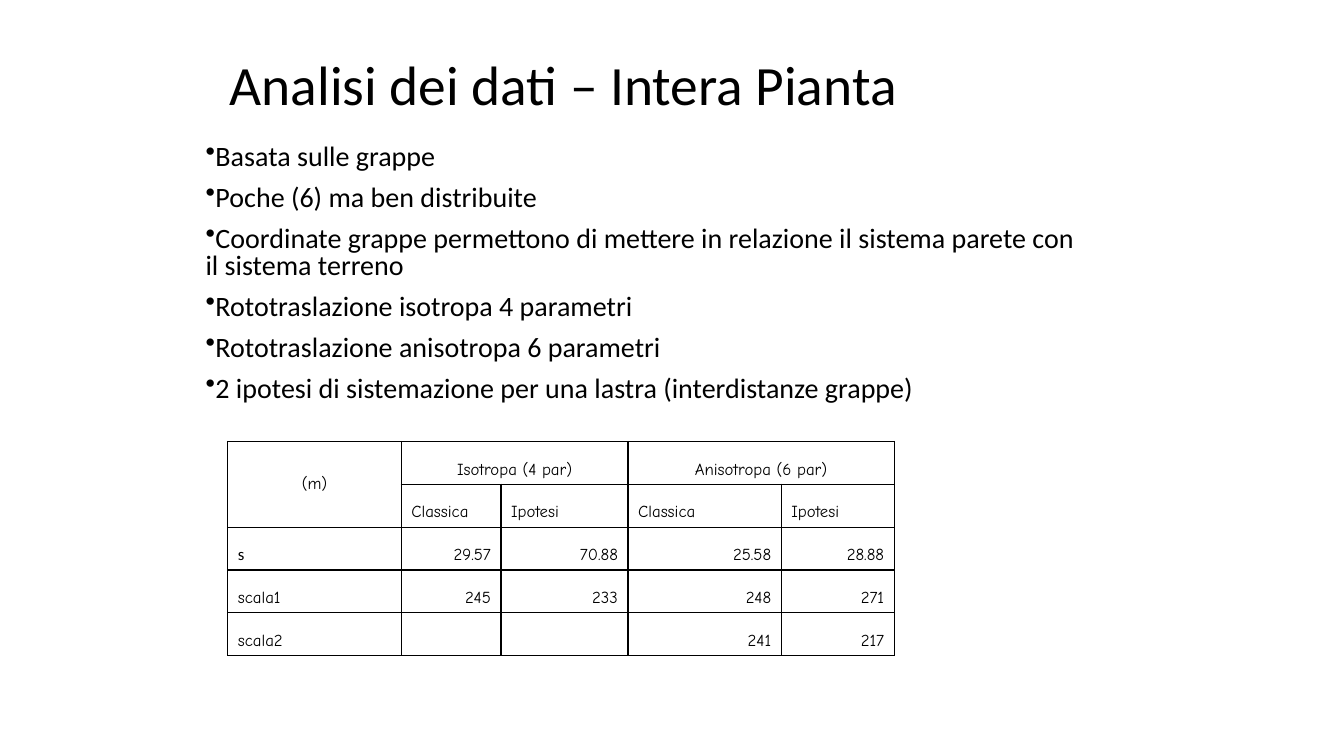
from lxml.etree import SubElement
from pptx import Presentation
from pptx.dml.color import RGBColor
from pptx.enum.text import MSO_ANCHOR as Anchor, PP_ALIGN as Align
from pptx.oxml import parse_xml
from pptx.oxml.ns import nsdecls, qn
from pptx.util import Inches, Pt

BLACK = RGBColor(0, 0, 0)
WHITE = RGBColor(255, 255, 255)


def write(frame, *lines, font="Calibri", size=20, align=Align.LEFT,
          spacing=1.0, gap=0, bullet=None):
    frame.word_wrap = True
    for index, line in enumerate(lines):
        paragraph = frame.add_paragraph() if index else frame.paragraphs[0]
        if bullet:
            properties = paragraph._p.get_or_add_pPr()
            SubElement(properties, qn("a:buChar")).set("char", bullet)
        paragraph.alignment = align
        paragraph.line_spacing = spacing
        paragraph.space_before = Pt(gap if index else 0)
        run = paragraph.add_run()
        run.text = line
        run.font.name = font
        run.font.size = Pt(size)
        run.font.color.rgb = BLACK


def add_borders(cell):
    properties = cell._tc.get_or_add_tcPr()
    for side in "LRTB":
        properties.append(parse_xml(
            f'<a:ln{side} {nsdecls("a")} w="{Pt(1)}"><a:solidFill>'
            f'<a:srgbClr val="{BLACK}"/></a:solidFill></a:ln{side}>'))


presentation = Presentation()
presentation.slide_width = Inches(13.33)
presentation.slide_height = Inches(7.5)
slide = presentation.slides.add_slide(presentation.slide_layouts[6])
slide.background.fill.solid()
slide.background.fill.fore_color.rgb = WHITE

title = slide.shapes.add_textbox(Inches(2.18), Inches(0.52), Inches(9), Inches(0.7))
title.text_frame.vertical_anchor = Anchor.MIDDLE
write(title.text_frame, "Analisi dei dati – Intera Pianta", size=39.6, spacing=0.9)

body = slide.shapes.add_textbox(Inches(1.94), Inches(1.39), Inches(8.9), Inches(2.76))
write(body.text_frame,
      "Basata sulle grappe",
      "Poche (6) ma ben distribuite",
      "Coordinate grappe permettono di mettere in relazione il sistema parete con il sistema terreno",
      "Rototraslazione isotropa 4 parametri",
      "Rototraslazione anisotropa 6 parametri",
      "2 ipotesi di sistemazione per una lastra (interdistanze grappe)",
      spacing=0.8, gap=10, bullet="•")

column_widths = [1.72, 0.99, 1.26, 1.52, 1.12]
row_height = 0.425
rows = [
    ["(m)", "Isotropa (4 par)", "", "Anisotropa (6 par)", ""],
    ["", "Classica", "Ipotesi", "Classica", "Ipotesi"],
    ["s", "29.57", "70.88", "25.58", "28.88"],
    ["scala1", "245", "233", "248", "271"],
    ["scala2", "", "", "241", "217"],
]
table = slide.shapes.add_table(
    len(rows), len(column_widths), Inches(2.26), Inches(4.38),
    Inches(sum(column_widths)), Inches(row_height * len(rows))).table
table.first_row = False
table.horz_banding = False
for column, width in zip(table.columns, column_widths):
    column.width = Inches(width)

for row_index, row in enumerate(rows):
    table.rows[row_index].height = Inches(row_height)
    for column_index, text in enumerate(row):
        cell = table.cell(row_index, column_index)
        add_borders(cell)
        cell.fill.background()
        cell.vertical_anchor = Anchor.BOTTOM
        if row_index == 0:
            align = Align.CENTER
        elif row_index > 1 and column_index > 0:
            align = Align.RIGHT
        else:
            align = Align.LEFT
        if text:
            font = "Calibri" if text == "s" else "Comic Neue"
            write(cell.text_frame, text, font=font, size=12, align=align)

table.cell(0, 0).vertical_anchor = Anchor.MIDDLE
table.cell(0, 0).merge(table.cell(1, 0))
for first in (1, 3):
    table.cell(0, first).merge(table.cell(0, first + 1))

presentation.save("out.pptx")
